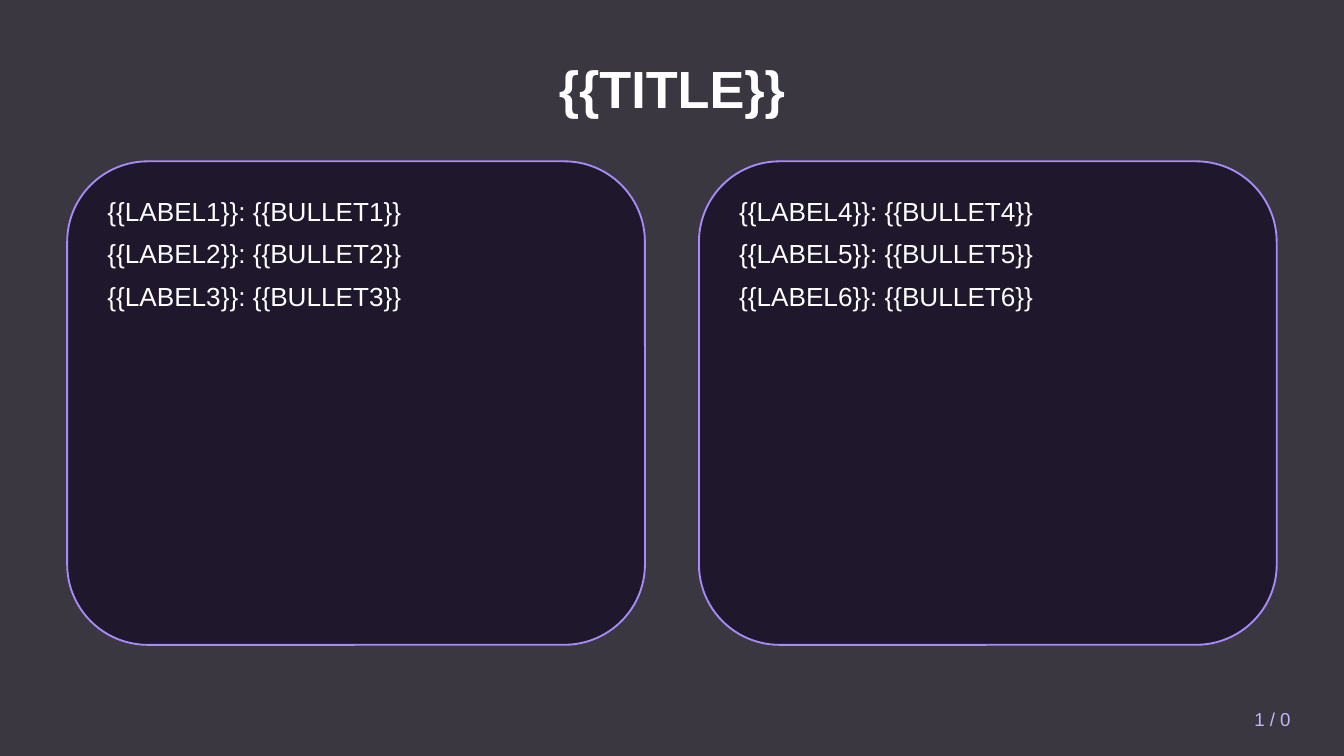
from lxml import etree
from pptx import Presentation
from pptx.dml.color import RGBColor
from pptx.enum import shapes, text
from pptx.oxml.ns import qn
from pptx.util import Cm, Pt

WIDE, HIGH = 25.4, 14.29
EDGE, PAD, GAP = 1.27, 0.51, 1.02
TOP, TALL = 3.05, 9.14
CARD = (WIDE - 2 * EDGE - GAP) / 2


def tint(code):
    return RGBColor.from_string(code)


def place(item, left, top, width, height):
    item.left, item.top = Cm(left), Cm(top)
    item.width, item.height = Cm(width), Cm(height)


def panel(slide, kind, box, color, alpha, edge=None):
    shape = slide.shapes.add_shape(kind, *map(Cm, box))
    shape.shadow.inherit = False
    shape.fill.solid()
    shape.fill.fore_color.rgb = tint(color)
    fill = shape.element.spPr.find(qn("a:solidFill"))
    etree.SubElement(fill[0], qn("a:alpha"), val=str(alpha * 1000))
    if edge:
        shape.line.color.rgb = tint(edge)
        shape.line.width = Pt(1)
    else:
        shape.line.fill.background()
    return shape


def write(item, words, size, color="FFFFFF", bold=False, align="LEFT",
          anchor="TOP", after=0):
    frame = item.text_frame
    frame.text = words
    frame.word_wrap = True
    frame.auto_size = text.MSO_AUTO_SIZE.NONE
    frame.vertical_anchor = text.MSO_ANCHOR[anchor]
    for para in frame.paragraphs:
        para.alignment = text.PP_ALIGN[align]
        para.space_after = Pt(after)
        for run in para.runs:
            font = run.font
            font.name, font.size, font.bold = "Arial", Pt(size), bold
            font.color.rgb = tint(color)


def label(slide, box, words, size, **style):
    item = slide.shapes.add_textbox(*map(Cm, box))
    write(item, words, size, **style)


def card(slide, left, first):
    panel(slide, shapes.MSO_SHAPE.ROUNDED_RECTANGLE,
          (left, TOP, CARD, TALL), "140A23", 70, "A78BFA")
    words = "\n".join(f"{{{{LABEL{n}}}}}: {{{{BULLET{n}}}}}"
                      for n in range(first, first + 3))
    label(slide, (left + PAD, TOP + PAD, CARD - 2 * PAD, TALL - 2 * PAD),
          words, 14, after=6)


def main():
    deck = Presentation()
    deck.slide_width, deck.slide_height = Cm(WIDE), Cm(HIGH)
    slide = deck.slides.add_slide(deck.slide_layouts[5])
    slide.background.fill.solid()
    slide.background.fill.fore_color.rgb = tint("FFFFFF")

    title = slide.shapes.title
    shade = panel(slide, shapes.MSO_SHAPE.RECTANGLE,
                  (0, 0, WIDE, HIGH), "0A0612", 80)
    title.element.addprevious(shade.element)
    place(title, EDGE, 0.76, WIDE - 2 * EDGE, 1.78)
    write(title, "{{TITLE}}", 28, bold=True, align="CENTER", anchor="MIDDLE")

    for col in range(2):
        card(slide, EDGE + col * (CARD + GAP), 1 + 3 * col)
    label(slide, (21.59, 13.21, 3.05, 0.76), "1 / 0", 10,
          color="C4B5FD", align="RIGHT", anchor="MIDDLE")
    deck.save("out.pptx")


if __name__ == "__main__":
    main()
